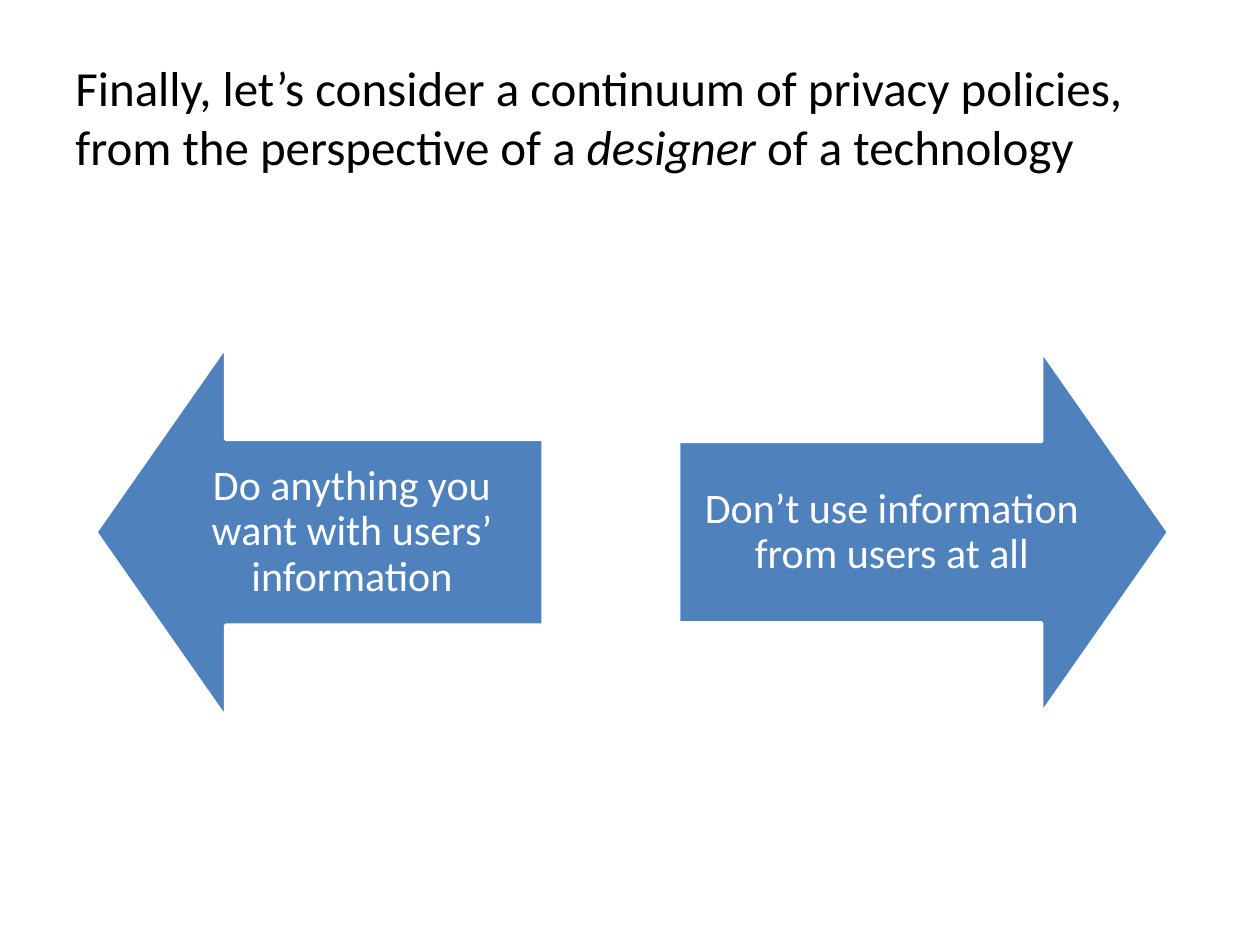
from pptx import Presentation
from pptx.dml.color import RGBColor
from pptx.enum.shapes import MSO_SHAPE
from pptx.enum.text import MSO_ANCHOR, PP_ALIGN
from pptx.util import Cm, Pt

LEFT_ARROW, RIGHT_ARROW = MSO_SHAPE.LEFT_ARROW, MSO_SHAPE.RIGHT_ARROW
MIDDLE = MSO_ANCHOR.MIDDLE
LEFT, CENTER = PP_ALIGN.LEFT, PP_ALIGN.CENTER

# (text, italic)
TITLE = [
    ("Finally, let’s consider a continuum of privacy policies, "
     "from the perspective of a ", False),
    ("designer", True),
    (" of a technology", False),
]
# (direction, left, width, height, text), lengths in cm
POLICIES = [
    (LEFT_ARROW, 1.93, 9.02, 7.49, "Do anything you want with users’ information"),
    (RIGHT_ARROW, 13.68, 9.88, 7.32, "Don’t use information from users at all"),
]
ARROW_MIDDLE = 10.73
ARROW_SHAFT, ARROW_HEAD = 0.5, 0.35
ARROW_MARGIN = Cm(0.48)
ARROW_FRAME = {"margin_left": ARROW_MARGIN, "margin_right": ARROW_MARGIN,
               "margin_top": ARROW_MARGIN, "margin_bottom": ARROW_MARGIN}


def rgb(hex_color):
    return RGBColor.from_string(hex_color)


def write(shape, pieces, size, color, align, line_spacing=1.0, frame_format=None):
    """Fill a shape with one paragraph of (text, italic) pieces."""
    frame = shape.text_frame
    settings = {"word_wrap": True, "vertical_anchor": MIDDLE, **(frame_format or {})}
    for name, value in settings.items():
        setattr(frame, name, value)
    paragraph = frame.paragraphs[0]
    paragraph.alignment = align
    paragraph.line_spacing = line_spacing
    for text, italic in pieces:
        run = paragraph.add_run()
        run.text = text
        for name, value in {"name": "Calibri", "size": Pt(size), "italic": italic}.items():
            setattr(run.font, name, value)
        run.font.color.rgb = rgb(color)


def add_policy(slide, direction, left, width, height, text):
    arrow = slide.shapes.add_shape(
        direction, Cm(left), Cm(ARROW_MIDDLE - height / 2), Cm(width), Cm(height))
    arrow.adjustments[0] = ARROW_SHAFT
    arrow.adjustments[1] = ARROW_HEAD
    arrow.shadow.inherit = False
    arrow.fill.solid()
    arrow.fill.fore_color.rgb = rgb("4F81BD")
    arrow.line.color.rgb = rgb("FFFFFF")
    arrow.line.width = Pt(2)
    write(arrow, [(text, False)], 24, "FFFFFF", CENTER, 0.9, ARROW_FRAME)


def main():
    deck = Presentation()
    deck.slide_width, deck.slide_height = Cm(25.4), Cm(19.05)
    slide = deck.slides.add_slide(deck.slide_layouts[6])
    title = slide.shapes.add_textbox(Cm(1.27), Cm(0.76), Cm(22.86), Cm(3.18))
    write(title, TITLE, 28, "000000", LEFT)
    for policy in POLICIES:
        add_policy(slide, *policy)
    deck.save("out.pptx")


if __name__ == "__main__":
    main()
